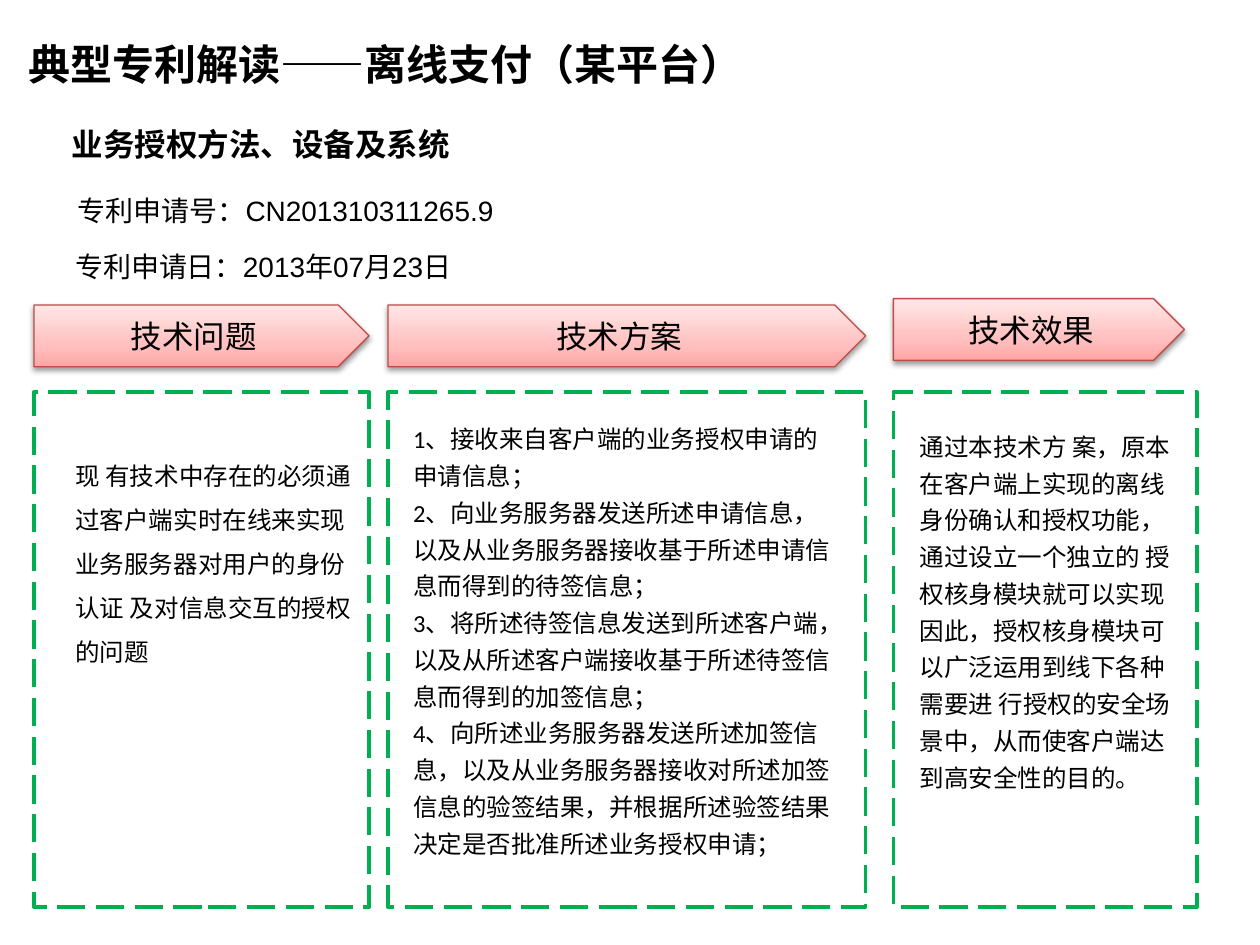
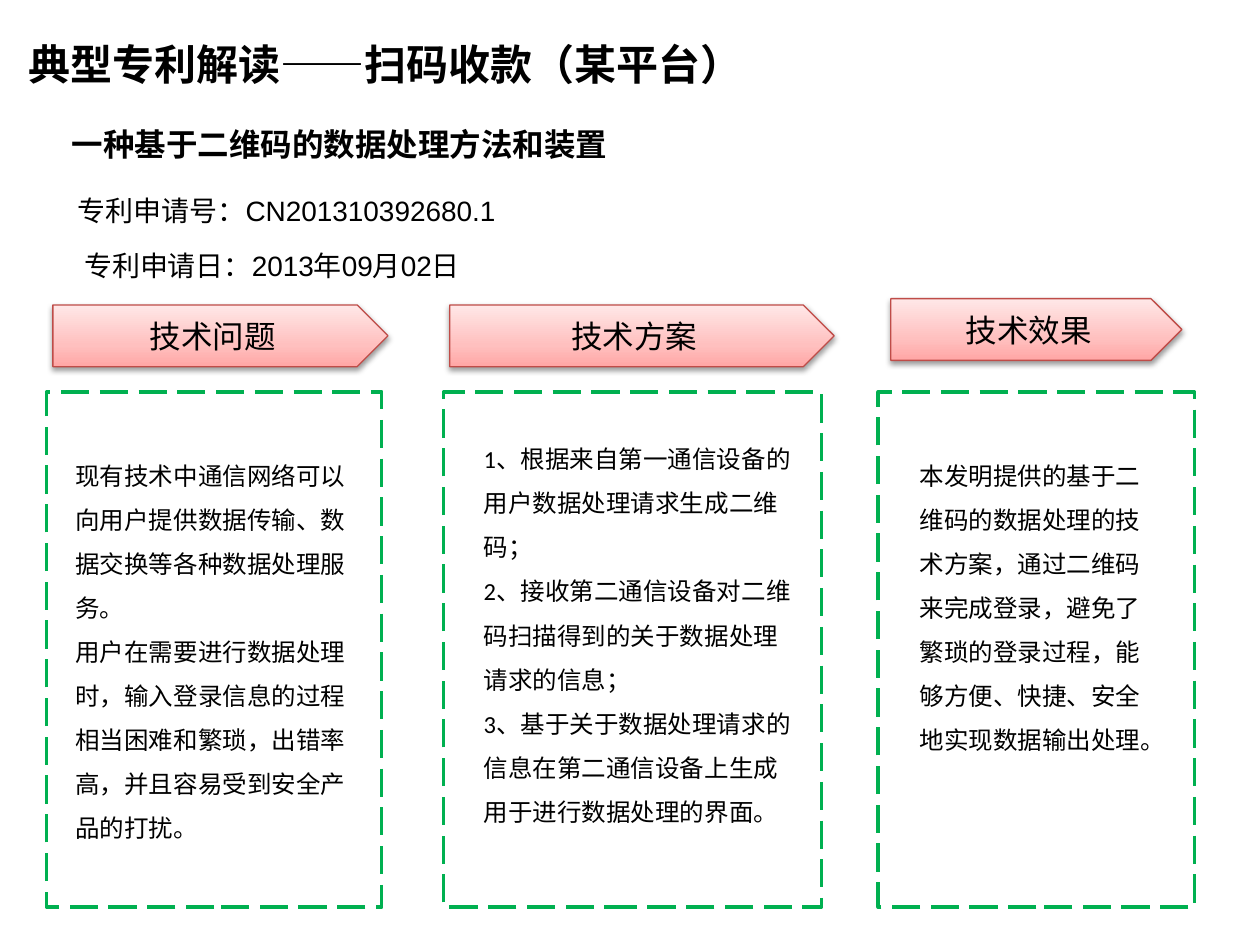
"""Builds two patent summary slides, each with a problem, a solution and an effect column."""
import copy

import pptx
import pptx.dml.color
import pptx.enum.dml
import pptx.enum.lang
import pptx.enum.shapes
import pptx.enum.text
import pptx.oxml
import pptx.oxml.ns
import pptx.util

INK, GREEN, RED = "000000", "00B050", "BF4C48"
PINKS = [(0, "FFA6A5"), (0.35, "FFC0BF"), (1, "FFE7E7")]
TITLE = "典型专利解读——{}（某平台）"
HEADINGS = ["技术问题", "技术方案", "技术效果"]
ARROW_TOPS, ARROW_HEIGHT = [2.42, 2.42, 2.37], 0.49
PANEL_TOP, PANEL_HEIGHT = 3.11, 4.09

# arrow and panel: (left, width); body: (left, top, width, height)
PATENTS = [
    dict(
        topic="离线支付", name="业务授权方法、设备及系统",
        number="CN201310311265.9", date="2013年07月23日", date_at=(0.5, 1.93),
        columns=[
            dict(arrow=(0.27, 2.66), panel=(0.27, 2.66), body=(0.5, 3.49, 2.41, 1.87), spacing=1.5, text=[
                "现 有技术中存在的必须通过客户端实时在线来实现业务服务器对用户的身份认证 及对信息交互的授权的问题"]),
            dict(arrow=(3.08, 3.79), panel=(3.08, 3.79), body=(3.18, 3.26, 3.59, 3.6), spacing=1.25, text=[
                "1、接收来自客户端的业务授权申请的申请信息；",
                "2、向业务服务器发送所述申请信息，以及从业务服务器接收基于所述申请信息而得到的待签信息；",
                "3、将所述待签信息发送到所述客户端，以及从所述客户端接收基于所述待签信息而得到的加签信息；",
                "4、向所述业务服务器发送所述加签信息，以及从业务服务器接收对所述加签信息的验签结果，"
                "并根据所述验签结果决定是否批准所述业务授权申请；"]),
            dict(arrow=(7.09, 2.31), panel=(7.09, 2.41), body=(7.2, 3.32, 2.2, 3.34), spacing=1.25, text=[
                "通过本技术方 案，原本在客户端上实现的离线身份确认和授权功能，通过设立一个独立的 授权核身模块就可以实现",
                "因此，授权核身模块可以广泛运用到线下各种需要进 行授权的安全场景中，从而使客户端达到高安全性的目的。"]),
        ]),
    dict(
        topic="扫码收款", name="一种基于二维码的数据处理方法和装置",
        number="CN201310392680.1", date="2013年09月02日", date_at=(0.57, 1.92),
        columns=[
            dict(arrow=(0.42, 2.66), panel=(0.37, 2.66), body=(0.5, 3.49, 2.41, 3.28), spacing=1.5, text=[
                "现有技术中通信网络可以向用户提供数据传输、数据交换等各种数据处理服务。",
                "用户在需要进行数据处理时，输入登录信息的过程相当困难和繁琐，出错率高，并且容易受到安全产品的打扰。"]),
            dict(arrow=(3.57, 3.05), panel=(3.52, 3), body=(3.74, 3.36, 2.73, 3.24), spacing=1.5, text=[
                "1、根据来自第一通信设备的用户数据处理请求生成二维码；",
                "2、接收第二通信设备对二维码扫描得到的关于数据处理请求的信息；",
                "3、基于关于数据处理请求的信息在第二通信设备上生成用于进行数据处理的界面。"]),
            dict(arrow=(7.07, 2.31), panel=(6.97, 2.51), body=(7.2, 3.49, 2.04, 3.48), spacing=1.5, text=[
                "本发明提供的基于二维码的数据处理的技术方案，通过二维码来完成登录，避免了繁琐的登录过程，"
                "能够方便、快捷、安全地实现数据输出处理。"]),
        ]),
]


def color(hex_code):
    return pptx.dml.color.RGBColor.from_string(hex_code)


def inches(lengths):
    return [pptx.util.Inches(length) for length in lengths]


def write(shape, lines, size, font="Calibri", bold=False, align=None, spacing=None):
    frame = shape.text_frame
    frame.word_wrap = True
    for index, line in enumerate(lines):
        paragraph = frame.add_paragraph() if index else frame.paragraphs[0]
        paragraph.alignment = align
        paragraph.line_spacing = spacing
        run = paragraph.add_run()
        run.text = line
        run.font.name, run.font.bold = font, bold
        run.font.size = pptx.util.Pt(size)
        run.font.color.rgb = color(INK)
        run.font.language_id = pptx.enum.lang.MSO_LANGUAGE_ID.SIMPLIFIED_CHINESE


def add_text(slide, at, lines, size, **style):
    box = slide.shapes.add_textbox(*inches(at))
    write(box, lines, size, **style)
    box.text_frame.auto_size = pptx.enum.text.MSO_AUTO_SIZE.SHAPE_TO_FIT_TEXT


def add_outlined(slide, kind, at, line_color, line_width):
    shape = slide.shapes.add_shape(kind, *inches(at))
    shape.shadow.inherit = False
    shape.line.color.rgb = color(line_color)
    shape.line.width = pptx.util.Pt(line_width)
    return shape


def add_arrow(slide, at, heading):
    arrow = add_outlined(slide, pptx.enum.shapes.MSO_SHAPE.PENTAGON, at, RED, 0.75)
    arrow.fill.gradient()
    arrow.fill.gradient_angle = 90
    properties = arrow._element.spPr
    stops = properties.find(".//" + pptx.oxml.ns.qn("a:gsLst"))
    stops.insert(1, copy.deepcopy(stops[0]))
    for stop, (position, pink) in zip(arrow.fill.gradient_stops, PINKS):
        stop.position = position
        stop.color.rgb = color(pink)
    properties.find(pptx.oxml.ns.qn("a:effectLst")).append(pptx.oxml.parse_xml(
        f'<a:outerShdw {pptx.oxml.ns.nsdecls("a")} blurRad="40000" dist="20000" dir="5400000" '
        'rotWithShape="0"><a:srgbClr val="000000"><a:alpha val="38000"/></a:srgbClr></a:outerShdw>'))
    arrow.text_frame.vertical_anchor = pptx.enum.text.MSO_ANCHOR.MIDDLE
    write(arrow, [heading], 18, align=pptx.enum.text.PP_ALIGN.CENTER)


def add_panel(slide, at):
    panel = add_outlined(slide, pptx.enum.shapes.MSO_SHAPE.RECTANGLE, at, GREEN, 2)
    panel.fill.background()
    panel.line.dash_style = pptx.enum.dml.MSO_LINE.LONG_DASH


def add_patent(deck, patent):
    slide = deck.slides.add_slide(deck.slide_layouts[6])
    for heading, top, column in zip(HEADINGS, ARROW_TOPS, patent["columns"]):
        left, width = column["arrow"]
        add_arrow(slide, (left, top, width, ARROW_HEIGHT), heading)
        left, width = column["panel"]
        add_panel(slide, (left, PANEL_TOP, width, PANEL_HEIGHT))
        add_text(slide, column["body"], column["text"], 14, spacing=column["spacing"])
    add_text(slide, (0.13, 0.26, 6.5, 0.5), [TITLE.format(patent["topic"])], 24, bold=True)
    add_text(slide, (0.47, 0.94, 6.4, 0.4), [patent["name"]], 18, bold=True)
    facts = [((0.52, 1.49), "专利申请号：" + patent["number"]),
             (patent["date_at"], "专利申请日：" + patent["date"])]
    for corner, fact in facts:
        add_text(slide, (*corner, 5.12, 0.37), [fact], 16, font="Arial")


def main():
    deck = pptx.Presentation()
    deck.slide_width, deck.slide_height = inches((10, 7.5))
    for patent in PATENTS:
        add_patent(deck, patent)
    deck.save("out.pptx")


if __name__ == "__main__":
    main()
